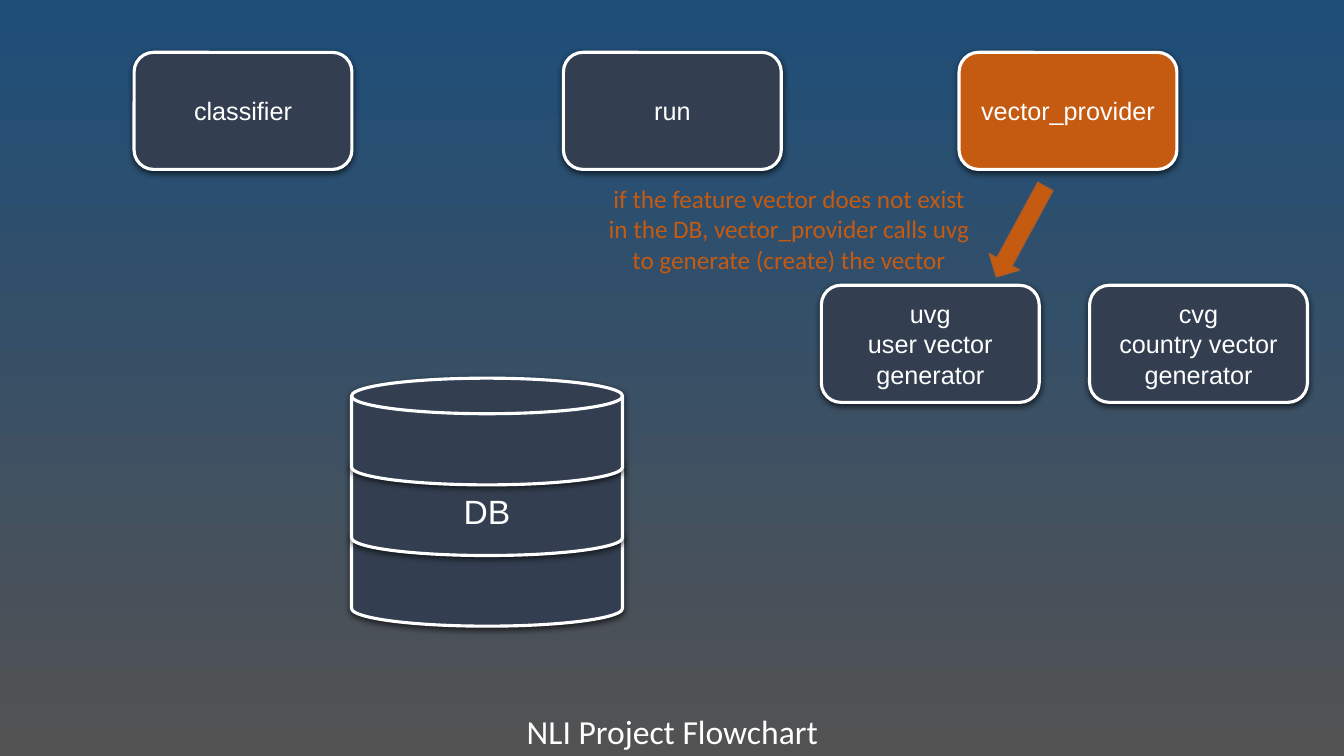
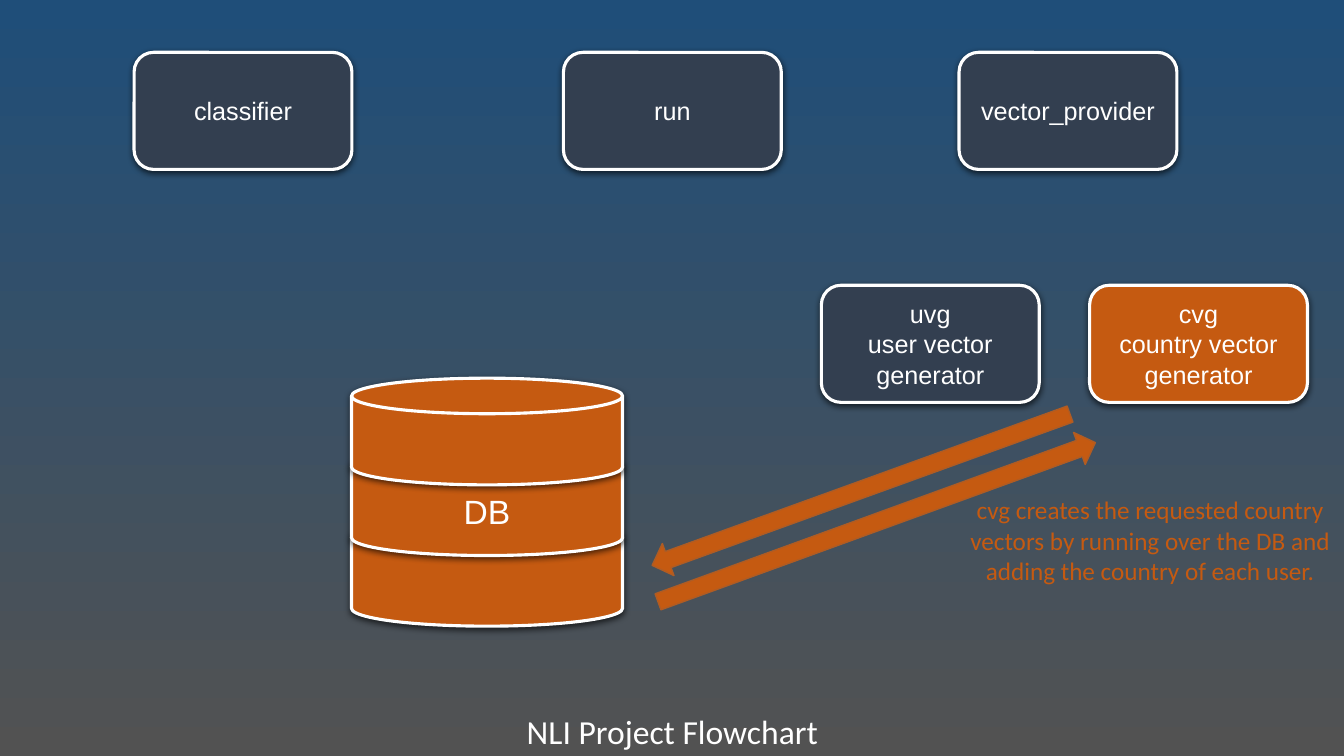
from lxml.etree import SubElement
from pptx import Presentation
from pptx.dml.color import RGBColor
from pptx.enum.shapes import MSO_SHAPE
from pptx.enum.text import MSO_ANCHOR, PP_ALIGN
from pptx.oxml.ns import qn
from pptx.util import Cm, Pt

TITLE = "NLI Project Flowchart"
TITLE_PLACE = (12.73, 17.78, 8.43, 1.27)

NAVY, ORANGE, RUST, WHITE = "333F50", "C55A11", "AF5C24", "FFFFFF"
BACKGROUND = ("1F4E79", "525252")

TITLE_FONT = {"name": "Calibri", "size": Pt(24), "color": WHITE}
NOTE_FONT = {"name": "Calibri", "size": Pt(18), "color": ORANGE}
BOX_FONT = {"name": "Arial", "size": Pt(18), "color": WHITE}
DATABASE_FONT = {"name": "Arial", "size": Pt(24), "color": WHITE}

BOX_SIZE = (5.49, 2.95)
TOP_ROW, LOWER_ROW = 1.32, 7.19
BOXES = {
    "classifier": (3.38, TOP_ROW, "classifier"),
    "run": (14.2, TOP_ROW, "run"),
    "vector_provider": (24.17, TOP_ROW, "vector_provider"),
    "uvg": (20.7, LOWER_ROW, "uvg\nuser vector generator"),
    "cvg": (27.46, LOWER_ROW, "cvg\ncountry vector generator"),
}

DISK_LEFT, DISK_TOP, DISK_STEP = 8.86, 9.53, 1.78
DISK_SIZE = (6.83, 2.69)
DISK_LABELS = ("", "DB", "")

NOTE_SIZE = (9.65, 2.57)
ARROW_HEIGHT = 0.86

STEPS = [
    {
        "active": {"vector_provider"},
        "note": (15.06, 4.5, "if the feature vector does not exist in the DB, "
                 "vector_provider calls uvg to generate (create) the vector"),
        "arrows": [(24.43, 5.41, 2.59, 118.5)],
    },
    {
        "active": {"cvg", "database"},
        "note": (24.16, 12.34, "cvg creates the requested country vectors by "
                 "running over the DB and adding the country of each user."),
        "arrows": [(16.1, 11.91, 11.2, 160.1), (16.23, 12.73, 11.73, 340)],
    },
]


def rgb(value):
    return RGBColor.from_string(value)


def write(shape, text, format_values, anchor):
    frame = shape.text_frame
    frame.word_wrap = True
    frame.vertical_anchor = anchor
    paragraph = frame.paragraphs[0]
    paragraph.text = text
    paragraph.alignment = PP_ALIGN.CENTER
    for run in paragraph.runs:
        for name, value in format_values.items():
            if name == "color":
                run.font.color.rgb = rgb(value)
            else:
                setattr(run.font, name, value)


def add_text(slide, place, text, format_values):
    box = slide.shapes.add_textbox(*map(Cm, place))
    write(box, text, format_values, MSO_ANCHOR.TOP)


def add_filled(shapes, kind, place, fill, line, width):
    shape = shapes.add_shape(kind, *map(Cm, place))
    shape.fill.solid()
    shape.fill.fore_color.rgb = rgb(fill)
    shape.line.color.rgb = rgb(line)
    shape.line.width = Pt(width)
    shape.shadow.inherit = False
    return shape


def add_shadow(shape):
    effects = shape._element.spPr.find(qn("a:effectLst"))
    shadow = SubElement(effects, qn("a:outerShdw"), blurRad=str(Pt(4.5)),
                        dist=str(Pt(1.5)), dir="5400000", rotWithShape="0")
    color = SubElement(shadow, qn("a:srgbClr"), val="000000")
    SubElement(color, qn("a:alpha"), val="63000")


def add_node(shapes, kind, place, active, text, format_values):
    fill = ORANGE if active else NAVY
    shape = add_filled(shapes, kind, place, fill, WHITE, 2.25)
    add_shadow(shape)
    if text:
        write(shape, text, format_values, MSO_ANCHOR.MIDDLE)


def add_database(slide, active):
    group = slide.shapes.add_group_shape()
    for index, label in reversed(list(enumerate(DISK_LABELS))):
        place = (DISK_LEFT, DISK_TOP + index * DISK_STEP, *DISK_SIZE)
        add_node(group.shapes, MSO_SHAPE.FLOWCHART_MAGNETIC_DISK, place,
                 active, label, DATABASE_FONT)


def add_step(presentation, step):
    slide = presentation.slides.add_slide(presentation.slide_layouts[6])
    add_text(slide, TITLE_PLACE, TITLE, TITLE_FONT)
    for name, (left, top, text) in BOXES.items():
        add_node(slide.shapes, MSO_SHAPE.ROUNDED_RECTANGLE,
                 (left, top, *BOX_SIZE), name in step["active"], text, BOX_FONT)
    add_database(slide, "database" in step["active"])
    left, top, text = step["note"]
    add_text(slide, (left, top, *NOTE_SIZE), text, NOTE_FONT)
    for left, top, length, angle in step["arrows"]:
        arrow = add_filled(slide.shapes, MSO_SHAPE.RIGHT_ARROW,
                           (left, top, length, ARROW_HEIGHT), ORANGE, RUST, 1)
        arrow.rotation = angle


def set_background(master):
    fill = master.background.fill
    fill.gradient()
    fill.gradient_angle = 270
    for stop, color in zip(fill.gradient_stops, BACKGROUND):
        stop.color.rgb = rgb(color)


def main():
    presentation = Presentation()
    presentation.slide_width = Cm(33.87)
    presentation.slide_height = Cm(19.05)
    set_background(presentation.slide_master)
    for step in STEPS:
        add_step(presentation, step)
    presentation.save("out.pptx")


if __name__ == "__main__":
    main()
